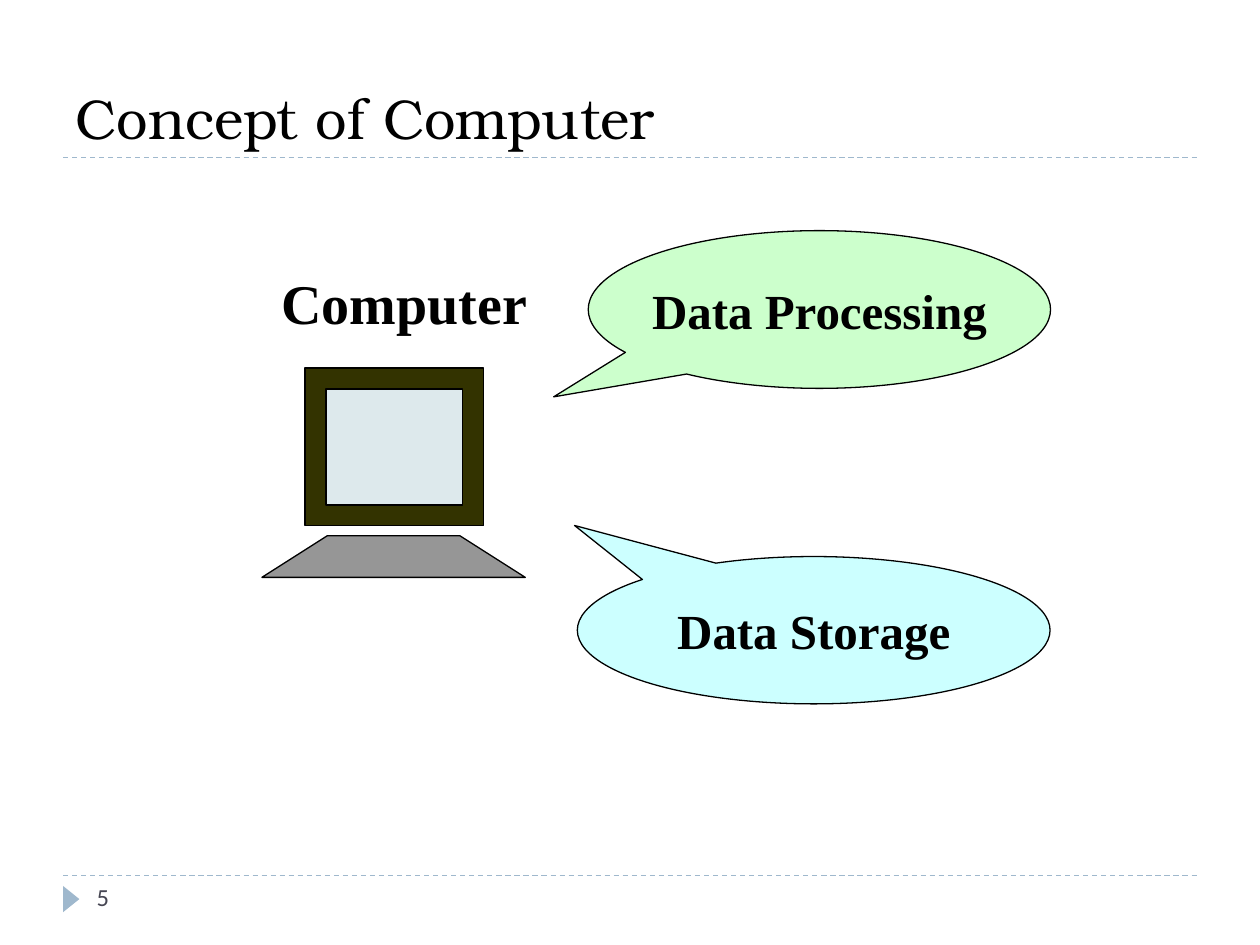
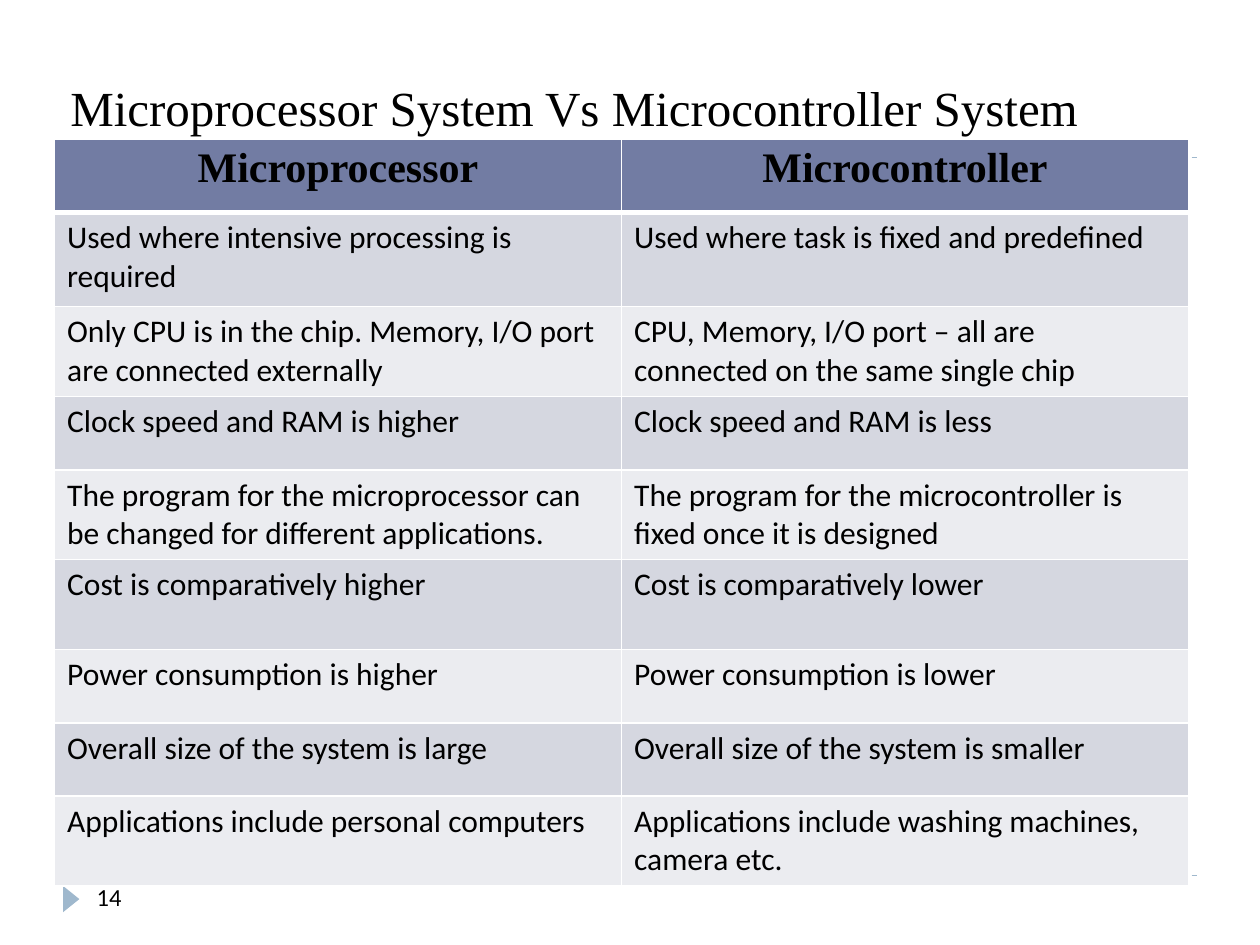
from lxml import etree
from pptx import Presentation
from pptx.dml.color import RGBColor
from pptx.enum.dml import MSO_LINE
from pptx.enum.shapes import MSO_CONNECTOR, MSO_SHAPE
from pptx.enum.text import MSO_ANCHOR, PP_ALIGN
from pptx.oxml.ns import qn
from pptx.util import Cm, Pt

STRAIGHT = MSO_CONNECTOR.STRAIGHT
RECTANGLE = MSO_SHAPE.RECTANGLE
TRIANGLE = MSO_SHAPE.ISOSCELES_TRIANGLE
CALLOUT = MSO_SHAPE.OVAL_CALLOUT
DASH = MSO_LINE.DASH
TOP, MIDDLE, BOTTOM = MSO_ANCHOR.TOP, MSO_ANCHOR.MIDDLE, MSO_ANCHOR.BOTTOM
LEFT, CENTER = PP_ALIGN.LEFT, PP_ALIGN.CENTER

COLORS = {
    "black": "000000",
    "white": "FFFFFF",
    "accent": "9FB8CD",
    "number": "464653",
    "monitor": "333300",
    "screen": "DDE9EC",
    "keyboard": "969696",
    "processing": "CCFFCC",
    "storage": "CCFFFF",
    "header": "727CA3",
    "odd_row": "D5D7E0",
    "even_row": "EBECF0",
}
SERIF, SANS, DISPLAY = "Times New Roman", "Calibri", "TeX Gyre Bonum"
RULE_LEFT, RULE_RIGHT = 1.27, 24.13
TITLE_RULE, FOOTER_RULE = 3.18, 17.65

COMPARISON = [
    ("Microprocessor", "Microcontroller"),
    ("Used where intensive processing is required",
     "Used where task is fixed and predefined"),
    ("Only CPU is in the chip. Memory, I/O port are connected externally",
     "CPU, Memory, I/O port – all are connected on the same single chip"),
    ("Clock speed and RAM is higher", "Clock speed and RAM is less"),
    ("The program for the microprocessor can be changed for different applications.",
     "The program for the microcontroller is fixed once it is designed"),
    ("Cost is comparatively higher", "Cost is comparatively lower"),
    ("Power consumption is higher", "Power consumption is lower"),
    ("Overall size of the system is large", "Overall size of the system is smaller"),
    ("Applications include personal computers",
     "Applications include washing machines, camera etc."),
]
SHORT_ROW, TALL_ROW = 1.48, 1.81
ROW_HEIGHTS = [SHORT_ROW, 1.9, TALL_ROW, SHORT_ROW, TALL_ROW,
               TALL_ROW, SHORT_ROW, SHORT_ROW, TALL_ROW]


def rgb(name):
    return RGBColor.from_string(COLORS[name])


def write_text(frame, text, size=18, font=SANS, color="black", bold=False, align=LEFT):
    paragraph = frame.paragraphs[0]
    paragraph.alignment = align
    run = paragraph.add_run()
    run.text = text
    run.font.size = Pt(size)
    run.font.name = font
    run.font.bold = bold
    run.font.color.rgb = rgb(color)


class Deck:
    def __init__(self):
        self.presentation = Presentation()
        self.presentation.slide_width = Cm(25.4)
        self.presentation.slide_height = Cm(19.05)
        self.slide = None

    def new_slide(self, number, number_color):
        layout = self.presentation.slide_layouts[6]
        self.slide = self.presentation.slides.add_slide(layout)
        for y in (FOOTER_RULE, TITLE_RULE):
            self.rule(y)
        marker = self.shape(TRIANGLE, 1.17, 17.96, 0.53, 0.33, "accent", outlined=False)
        marker.rotation = 90
        self.text(number, 1.7, FOOTER_RULE, 5.51, 1.02, size=14, color=number_color)

    def rule(self, y):
        line = self.slide.shapes.add_connector(
            STRAIGHT, Cm(RULE_LEFT), Cm(y), Cm(RULE_RIGHT), Cm(y))
        line.line.color.rgb = rgb("accent")
        line.line.width = Pt(0.75)
        line.line.dash_style = DASH
        etree.SubElement(line._element.spPr, qn("a:effectLst"))

    def text(self, text, left, top, width, height, anchor=TOP, **style):
        box = self.slide.shapes.add_textbox(Cm(left), Cm(top), Cm(width), Cm(height))
        box.text_frame.word_wrap = True
        box.text_frame.vertical_anchor = anchor
        write_text(box.text_frame, text, **style)

    def title(self, text, left, top, size, font):
        self.text(text, left, top, 22.86, 2.74, anchor=BOTTOM, size=size, font=font)

    def paint(self, shape, fill, outlined=True):
        shape.shadow.inherit = False
        shape.fill.solid()
        shape.fill.fore_color.rgb = rgb(fill)
        if outlined:
            shape.line.color.rgb = rgb("black")
            shape.line.width = Pt(0.75)
        else:
            shape.line.fill.background()

    def shape(self, kind, left, top, width, height, fill, outlined=True):
        shape = self.slide.shapes.add_shape(
            kind, Cm(left), Cm(top), Cm(width), Cm(height))
        self.paint(shape, fill, outlined)
        return shape

    def polygon(self, points, fill):
        start, *rest = [(Cm(x), Cm(y)) for x, y in points]
        builder = self.slide.shapes.build_freeform(*start)
        builder.add_line_segments(rest, close=True)
        self.paint(builder.convert_to_shape(), fill)

    def callout(self, text, left, top, width, height, fill, tail):
        bubble = self.shape(CALLOUT, left, top, width, height, fill)
        for index, offset in enumerate(tail):
            bubble.adjustments[index] = offset
        bubble.text_frame.word_wrap = False
        bubble.text_frame.vertical_anchor = MIDDLE
        write_text(bubble.text_frame, text, size=28, font=SERIF, bold=True, align=CENTER)

    def cell_borders(self, cell, bottom):
        properties = cell._tc.get_or_add_tcPr()
        for side, width in (("L", 1), ("R", 1), ("T", 1), ("B", bottom)):
            line = etree.SubElement(properties, qn(f"a:ln{side}"), w=str(Pt(width)))
            fill = etree.SubElement(line, qn("a:solidFill"))
            etree.SubElement(fill, qn("a:srgbClr"), val=COLORS["white"])

    def table(self, rows, left, top, width, heights):
        table = self.slide.shapes.add_table(
            len(rows), len(rows[0]), Cm(left), Cm(top), Cm(width), Cm(sum(heights))).table
        for row_index, (texts, height) in enumerate(zip(rows, heights)):
            table.rows[row_index].height = Cm(height)
            if row_index == 0:
                fill, bottom = "header", 3
                style = dict(size=24, font=SERIF, bold=True, align=CENTER)
            else:
                fill = "odd_row" if row_index % 2 else "even_row"
                bottom, style = 1, {}
            for column_index, text in enumerate(texts):
                cell = table.cell(row_index, column_index)
                self.cell_borders(cell, bottom)
                cell.fill.solid()
                cell.fill.fore_color.rgb = rgb(fill)
                write_text(cell.text_frame, text, **style)


def build_concept(deck):
    deck.new_slide("5", "number")
    deck.title("Concept of Computer", 1.27, 0.43, 32, DISPLAY)
    deck.text("Computer", 4.88, 5.28, 6.55, 1.6,
              size=32, font=SERIF, bold=True, align=CENTER)
    deck.shape(RECTANGLE, 6.15, 7.42, 3.6, 3.18, "monitor")
    deck.polygon([(5.28, 11.64), (6.6, 10.8), (9.27, 10.8), (10.59, 11.64)], "keyboard")
    deck.shape(RECTANGLE, 6.57, 7.84, 2.76, 2.34, "screen")
    deck.callout("Data Processing", 11.86, 4.65, 9.32, 3.18, "processing", (-0.575, 0.554))
    deck.callout("Data Storage", 11.64, 11.22, 9.53, 2.97, "storage", (-0.506, -0.711))


def build_comparison(deck):
    deck.new_slide("14", "black")
    deck.title("Microprocessor System Vs Microcontroller System", 1.17, 0.13, 28, SERIF)
    deck.table(COMPARISON, 1.1, 2.8, 22.86, ROW_HEIGHTS)


def main():
    deck = Deck()
    build_concept(deck)
    build_comparison(deck)
    deck.presentation.save("out.pptx")


if __name__ == "__main__":
    main()
